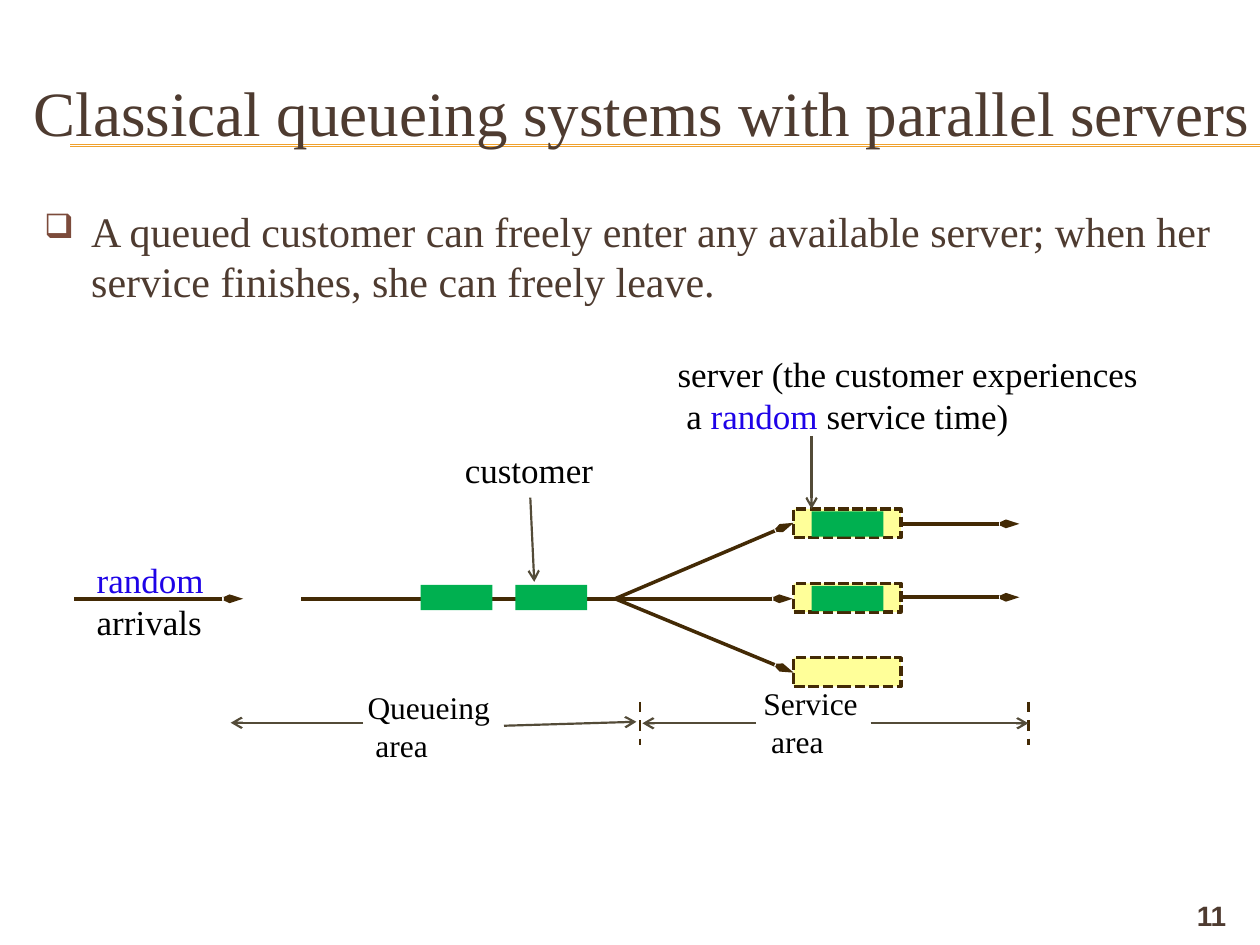
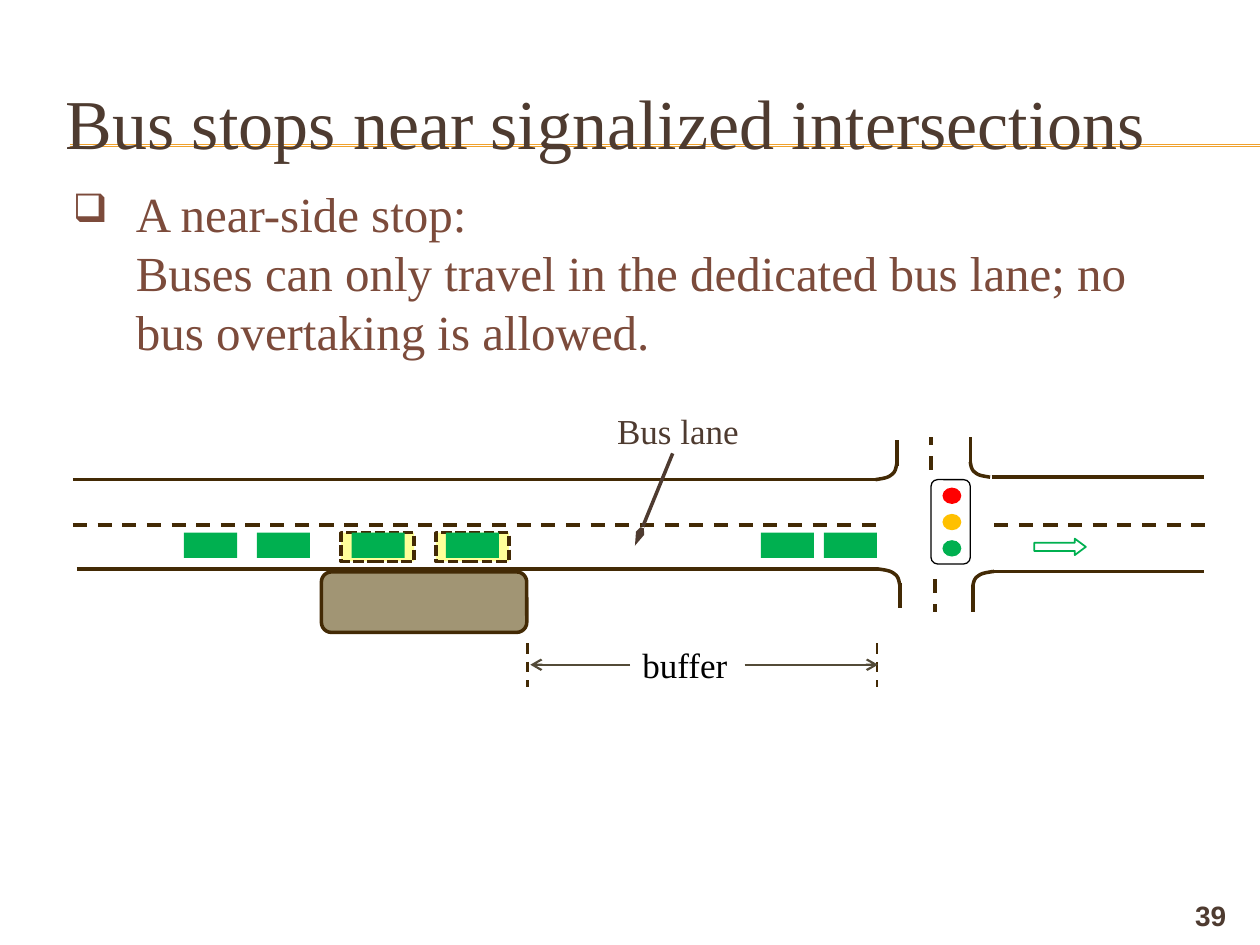
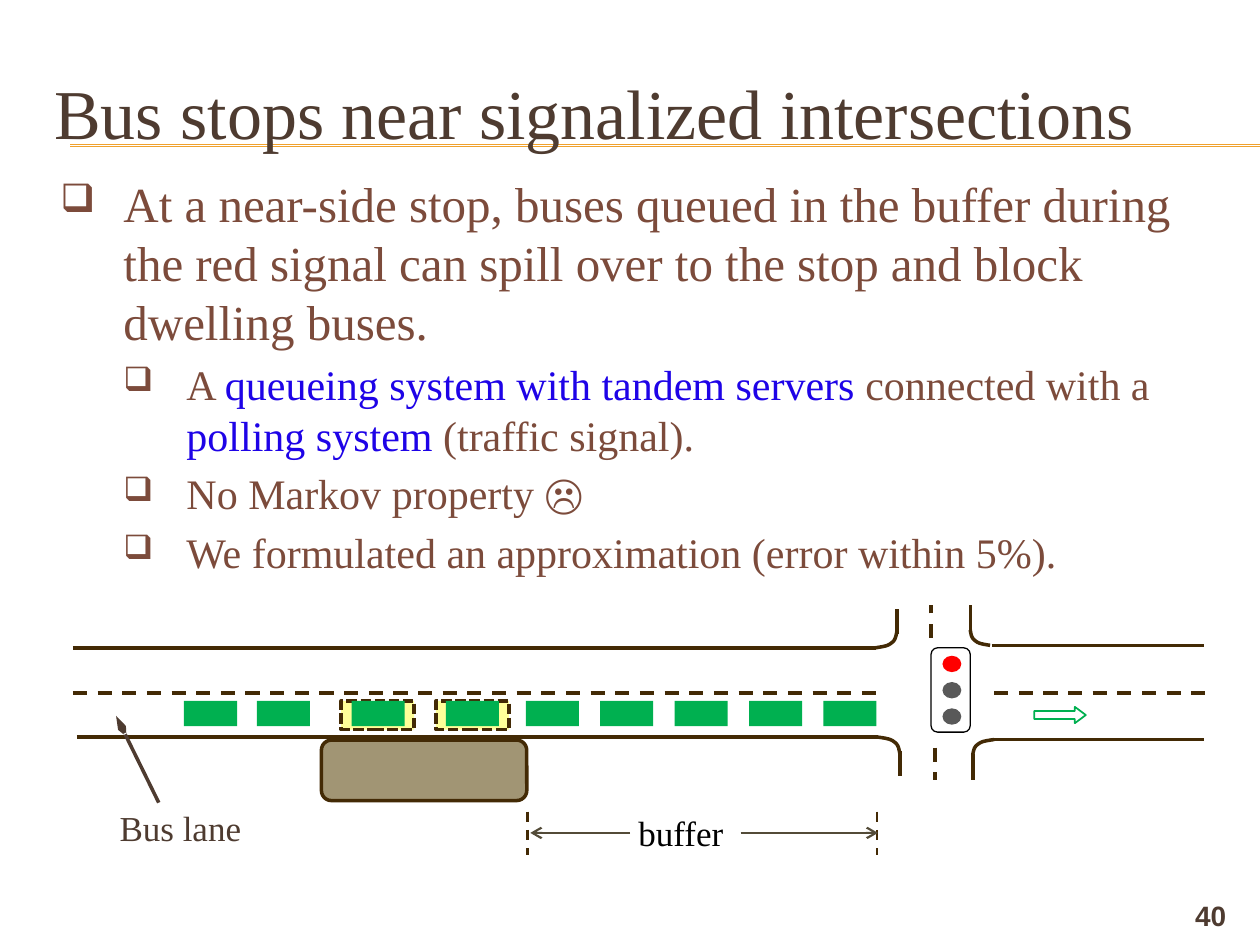
from dataclasses import dataclass
from typing import NamedTuple

from pptx import Presentation
from pptx.dml.color import RGBColor
from pptx.enum.dml import MSO_LINE_DASH_STYLE as Dash
from pptx.enum.shapes import MSO_CONNECTOR as Connector, MSO_SHAPE as Preset
from pptx.enum.text import MSO_ANCHOR as Anchor, MSO_AUTO_SIZE as AutoSize, PP_ALIGN as Align
from pptx.oxml.ns import qn
from pptx.oxml.xmlchemy import OxmlElement
from pptx.util import Cm, Pt


# ---- Theme: colours, fonts and type sizes ----
@dataclass(frozen=True)
class Theme:
    serif: str = "Times New Roman"
    sans: str = "Arial"
    title: str = "4E3B30"
    body: str = "7C4B3B"
    accent: str = "F0A22E"
    ink: str = "000000"
    highlight: str = "1E03E7"
    road: str = "432A05"
    pointer: str = "534B38"
    berth: str = "FFFF99"
    vehicle: str = "00B050"
    platform: str = "A19574"
    red: str = "FF0000"
    amber: str = "FFC000"
    unlit: str = "595959"
    title_size: int = 40
    body_size: int = 28
    detail_size: int = 24
    label_size: int = 20
    small_size: int = 18
    number_size: int = 16


THEME = Theme()


# ---- Element descriptions, lengths in centimetres ----
class Area(NamedTuple):
    left: float
    top: float
    width: float
    height: float


class Pen(NamedTuple):
    colour: str
    weight: float
    dash: Dash | None = None
    head: tuple[str, str] | None = None  # arrowhead width and length


class Stroke(NamedTuple):
    x1: float
    y1: float
    x2: float
    y2: float
    pen: Pen


class Span(NamedTuple):
    text: str
    colour: str


class Label(NamedTuple):
    area: Area
    size: int
    lines: list[list[Span]]


class Bullet(NamedTuple):
    size: int
    margin: float
    hanging: float
    spans: list[Span]


RULE = Pen(THEME.accent, 0.75)
SOLID = Pen(THEME.road, 2)
DASHED = Pen(THEME.road, 2, Dash.DASH)
BERTH_EDGE = Pen(THEME.road, 2, Dash.SQUARE_DOT)
LIMIT = Pen(THEME.road, 1.5, Dash.DASH)
FLOW = Pen(THEME.road, 2, head=("sm", "lg"))
LANE_POINTER = Pen(THEME.title, 2, head=("sm", "lg"))
POINTER = Pen(THEME.pointer, 1.25, head=("med", "med"))


# ---- Drawing functions ----
def add_xml(parent, tag: str, **attributes: str) -> None:
    child = OxmlElement(tag)
    for name, value in attributes.items():
        child.set(name, value)
    parent.append(child)


def apply_pen(line, pen: Pen) -> None:
    line.color.rgb = RGBColor.from_string(pen.colour)
    line.width = Pt(pen.weight)
    if pen.dash is not None:
        line.dash_style = pen.dash


def draw_stroke(page, stroke: Stroke):
    ends = (Cm(value) for value in stroke[:4])
    connector = page.shapes.add_connector(Connector.STRAIGHT, *ends)
    apply_pen(connector.line, stroke.pen)
    properties = connector.element.spPr
    if stroke.pen.head:
        width, length = stroke.pen.head
        add_xml(properties.find(qn("a:ln")), "a:tailEnd", type="arrow", w=width, len=length)
    add_xml(properties, "a:effectLst")
    return connector


def finish_shape(shape, fill: str | None, pen: Pen | None) -> None:
    shape.shadow.inherit = False
    if fill:
        shape.fill.solid()
        shape.fill.fore_color.rgb = RGBColor.from_string(fill)
    else:
        shape.fill.background()
    if pen:
        apply_pen(shape.line, pen)
    else:
        shape.line.fill.background()


def draw_shape(page, area: Area, fill: str | None, pen: Pen | None = None,
               preset: Preset = Preset.RECTANGLE):
    shape = page.shapes.add_shape(preset, *(Cm(value) for value in area))
    finish_shape(shape, fill, pen)
    return shape


def add_spans(para, spans: list[Span], size: int, font: str = THEME.serif,
              bold: bool = False) -> None:
    for span in spans:
        if span.text == "\n":
            para.add_line_break()
            continue
        run = para.add_run()
        run.text = span.text
        run.font.name = font
        run.font.size = Pt(size)
        run.font.bold = bold
        run.font.color.rgb = RGBColor.from_string(span.colour)


def add_box(page, area: Area, wrap: bool):
    box = page.shapes.add_textbox(*(Cm(value) for value in area))
    box.text_frame.word_wrap = wrap
    return box.text_frame


def draw_label(page, label: Label) -> None:
    frame = add_box(page, label.area, False)
    for index, spans in enumerate(label.lines):
        para = frame.add_paragraph() if index else frame.paragraphs[0]
        add_spans(para, spans, label.size)


def draw_bullets(page, area: Area, bullets: list[Bullet]) -> None:
    frame = add_box(page, area, True)
    for index, bullet in enumerate(bullets):
        para = frame.add_paragraph() if index else frame.paragraphs[0]
        para.space_before = Pt(bullet.size * 0.2)
        properties = para._p.get_or_add_pPr()
        properties.set("marL", str(Cm(bullet.margin)))
        properties.set("indent", str(-Cm(bullet.hanging)))
        add_xml(properties, "a:buClr")
        add_xml(properties[-1], "a:srgbClr", val=THEME.body)
        add_xml(properties, "a:buSzPct", val="80000")
        add_xml(properties, "a:buChar", char="❑")
        add_spans(para, bullet.spans, bullet.size)


def add_page(deck, title: str, area: Area, number: int, size: int = THEME.title_size):
    page = deck.slides.add_slide(deck.slide_layouts[5])
    holder = page.shapes.title
    holder.left, holder.top, holder.width, holder.height = (Cm(value) for value in area)
    frame = holder.text_frame
    frame.auto_size = AutoSize.NONE
    frame.vertical_anchor = Anchor.MIDDLE
    para = frame.paragraphs[0]
    para.alignment = Align.LEFT
    add_spans(para, [Span(title, THEME.title)], size)
    # Page number
    para = add_box(page, Area(22.86, 17.98, 2.11, 0.69), True).paragraphs[0]
    para.alignment = Align.RIGHT
    add_spans(para, [Span(str(number), THEME.title)], THEME.number_size, THEME.sans, True)
    return page


def move_rules_to_layout(page) -> None:
    """Place the double rule under the title on the shared layout."""
    for y in (2.92, 2.95):
        rule = draw_stroke(page, Stroke(1.42, y, 25.4, y, RULE))
        page.slide_layout.shapes.element.append(rule.element)


# ---- Road with bus stop and signalized intersection ----
KERB_CURVE = [(0, 0), (0.3, 0.06), (0.55, 0.1), (0.7, 0.25),
              (0.88, 0.42), (0.94, 0.5), (1, 1)]
BUS_TOP = 1.07


def bezier(a: float, b: float, c: float, d: float, t: float) -> float:
    u = 1 - t
    return a * u**3 + 3 * b * u * u * t + 3 * c * u * t * t + d * t**3


def draw_kerb(page, x1: float, y1: float, x2: float, y2: float) -> None:
    steps = 8
    points = []
    for start in (0, 3):
        xs, ys = zip(*KERB_CURVE[start:start + 4])
        for step in range(1, steps + 1):
            t = step / steps
            points.append((Cm(x1 + (x2 - x1) * bezier(*xs, t)),
                           Cm(y1 + (y2 - y1) * bezier(*ys, t))))
    builder = page.shapes.build_freeform(Cm(x1), Cm(y1))
    builder.add_line_segments(points, close=False)
    finish_shape(builder.convert_to_shape(), None, SOLID)


def draw_road(page, top: float, queued: list[float], lamps: list[str], buffer_left: float) -> None:
    # Berths and platform
    for left in (6.88, 8.79):
        draw_shape(page, Area(left, top + BUS_TOP, 1.47, 0.58), THEME.berth, BERTH_EDGE)
    draw_shape(page, Area(6.48, top + 1.86, 4.14, 1.22), THEME.platform, SOLID,
               Preset.ROUNDED_RECTANGLE)

    # Lane edges, centre lines, side street and buffer limits
    buffer_right = buffer_left + 2.31
    strokes = [
        Stroke(1.47, 0, 17.65, 0, SOLID),
        Stroke(19.99, -0.05, 24.28, -0.05, SOLID),
        Stroke(1.47, 0.91, 17.68, 0.91, DASHED),
        Stroke(20.04, 0.91, 24.33, 0.91, DASHED),
        Stroke(1.55, 1.8, 17.7, 1.8, SOLID),
        Stroke(19.99, 1.85, 24.28, 1.85, SOLID),
        Stroke(18.08, -0.28, 18.08, -0.79, SOLID),
        Stroke(19.56, -0.33, 19.56, -0.86, SOLID),
        Stroke(18.14, 2.08, 18.14, 2.59, SOLID),
        Stroke(19.61, 2.13, 19.61, 2.67, SOLID),
        Stroke(18.77, -0.2, 18.77, -0.86, DASHED),
        Stroke(18.85, 2.01, 18.85, 2.67, DASHED),
        Stroke(10.64, 3.3, 10.64, 4.17, LIMIT),
        Stroke(17.68, 3.3, 17.68, 4.17, LIMIT),
        Stroke(12.7, 3.73, 10.69, 3.73, POINTER),
        Stroke(buffer_right, 3.73, 17.7, 3.73, POINTER),
    ]
    for x1, y1, x2, y2, pen in strokes:
        draw_stroke(page, Stroke(x1, top + y1, x2, top + y2, pen))
    for x1, y1, x2, y2 in [(17.65, 0, 18.08, -0.33), (19.96, -0.05, 19.56, -0.36),
                           (17.7, 1.8, 18.14, 2.13), (20.04, 1.85, 19.61, 2.16)]:
        draw_kerb(page, x1, top + y1, x2, top + y2)

    # Traffic signal
    for index, colour in enumerate(lamps):
        draw_shape(page, Area(19, top + 0.16 + 0.53 * index, 0.38, 0.33), colour,
                   preset=Preset.OVAL)
    draw_shape(page, Area(18.77, top, 0.79, 1.7), None, Pen(THEME.ink, 0.75),
               Preset.ROUNDED_RECTANGLE)

    # Travel direction and buses
    arrow = draw_shape(page, Area(20.85, top + 1.19, 1.04, 0.33), None,
                       Pen(THEME.vehicle, 1), Preset.RIGHT_ARROW)
    arrow.adjustments[0], arrow.adjustments[1] = 0.5, 0.67
    for left in [3.71, 5.18, 7.09, 8.99] + queued:
        draw_shape(page, Area(left, top + BUS_TOP, 1.07, 0.51), THEME.vehicle)
    draw_label(page, Label(Area(buffer_left, top + 3.18, 2.31, 1.12), THEME.label_size,
                           [[Span("buffer", THEME.ink)]]))


def draw_lane_label(page, left: float, top: float, pointer: Stroke) -> None:
    draw_label(page, Label(Area(left, top, 2.97, 1.12), THEME.label_size,
                           [[Span("Bus lane", THEME.title)]]))
    draw_stroke(page, pointer)


# ---- Slides ----
def build_queueing(deck) -> None:
    page = add_page(deck, "Classical queueing systems with parallel servers",
                    Area(0.43, 1.07, 25.4, 2.34), 11, 36)
    move_rules_to_layout(page)
    draw_bullets(page, Area(0.64, 4.01, 24.33, 11.86), [
        Bullet(THEME.detail_size, 0.95, 0.95, [Span(
            "A queued customer can freely enter any available server; "
            "when her service finishes, she can freely leave.", THEME.title)])])

    # Servers, flows and customers
    server_tops = [10.26 + 1.5 * row for row in range(3)]
    for top in server_tops:
        draw_shape(page, Area(16, top, 2.16, 0.58), THEME.berth, BERTH_EDGE)
    axis = 12.07
    strokes = [
        Stroke(1.5, axis, 4.9, axis, FLOW),
        Stroke(6.07, axis, 15.98, axis, FLOW),
        Stroke(12.4, axis, 16, 10.54, FLOW),
        Stroke(12.4, axis, 16, 13.56, FLOW),
        Stroke(18.19, 10.56, 20.55, 10.56, FLOW),
        Stroke(18.19, 12.04, 20.55, 12.04, FLOW),
        Stroke(12.9, 14.15, 12.9, 15.01, LIMIT),
        Stroke(20.73, 14.15, 20.73, 15.01, LIMIT),
        Stroke(10.16, 14.63, 12.83, 14.55, POINTER),
        Stroke(7.32, 14.57, 4.65, 14.57, POINTER),
        Stroke(15.24, 14.58, 12.95, 14.58, POINTER),
        Stroke(17.55, 14.58, 20.73, 14.58, POINTER),
        Stroke(10.69, 10.03, 10.77, 11.73, POINTER),
        Stroke(16.36, 8.79, 16.36, 10.26, POINTER),
    ]
    for stroke in strokes:
        draw_stroke(page, stroke)
    served = [(16.36, top + 0.05) for top in server_tops[:2]]
    for left, top in served + [(8.48, 11.79), (10.39, 11.79)]:
        draw_shape(page, Area(left, top, 1.45, 0.51), THEME.vehicle)

    # Labels
    ink, highlight = THEME.ink, THEME.highlight
    labels = [
        Label(Area(7.16, 13.74, 3, 1.8), THEME.small_size,
              [[Span("Queueing", ink)], [Span(" area", ink)]]),
        Label(Area(15.14, 13.67, 2.44, 1.8), THEME.small_size,
              [[Span("Service", ink)], [Span(" area", ink)]]),
        Label(Area(9.12, 8.92, 3.12, 1.12), THEME.label_size, [[Span("customer", ink)]]),
        Label(Area(13.41, 6.99, 9.86, 1.96), THEME.label_size,
              [[Span("server (the customer experiences", ink)],
               [Span(" a ", ink), Span("random", highlight), Span(" service time)", ink)]]),
        Label(Area(1.7, 11.13, 2.87, 1.96), THEME.label_size,
              [[Span("random", highlight)], [Span("arrivals", ink)]]),
    ]
    for label in labels:
        draw_label(page, label)


BUS_TITLE = "Bus stops near signalized intersections"


def build_near_side(deck) -> None:
    page = add_page(deck, BUS_TITLE, Area(1.07, 1.27, 24.97, 2.34), 39)
    draw_bullets(page, Area(1.22, 3.58, 23.06, 13.34), [
        Bullet(THEME.body_size, 1.27, 1.27, [
            Span("A near-side stop: ", THEME.body), Span("\n", THEME.body),
            Span("Buses can only travel in the dedicated bus lane; "
                 "no bus overtaking is allowed.", THEME.body)])])
    draw_road(page, 9.67, [15.34, 16.61], [THEME.red, THEME.amber, THEME.vehicle], 12.7)
    draw_lane_label(page, 12.19, 8.13, Stroke(13.56, 9.14, 12.8, 11, LANE_POINTER))


def build_spillover(deck) -> None:
    page = add_page(deck, BUS_TITLE, Area(0.84, 1.07, 24.13, 2.34), 40)
    details = [
        [Span("A ", THEME.body), Span("queueing system with tandem servers", THEME.highlight),
         Span(" connected with a ", THEME.body), Span("polling system", THEME.highlight),
         Span(" (traffic signal).", THEME.body)],
        [Span("No Markov property ☹", THEME.body)],
        [Span("We formulated an approximation (error within 5%).", THEME.body)],
    ]
    draw_bullets(page, Area(0.97, 3.38, 23.06, 13.69), [
        Bullet(THEME.body_size, 1.27, 1.27, [Span(
            "At a near-side stop, buses queued in the buffer during the red signal "
            "can spill over to the stop and block dwelling buses.", THEME.body)]),
        *(Bullet(THEME.detail_size, 2.54, 1.27, spans) for spans in details)])
    draw_road(page, 13.06, [10.6 + 1.5 * place for place in range(5)],
              [THEME.red, THEME.unlit, THEME.unlit], 12.62)
    draw_lane_label(page, 2.16, 16.13, Stroke(3.2, 16.18, 2.34, 14.43, LANE_POINTER))


def main() -> None:
    deck = Presentation()
    deck.slide_width, deck.slide_height = Cm(25.4), Cm(19.05)
    for build in (build_queueing, build_near_side, build_spillover):
        build(deck)
    deck.save("out.pptx")


if __name__ == "__main__":
    main()
